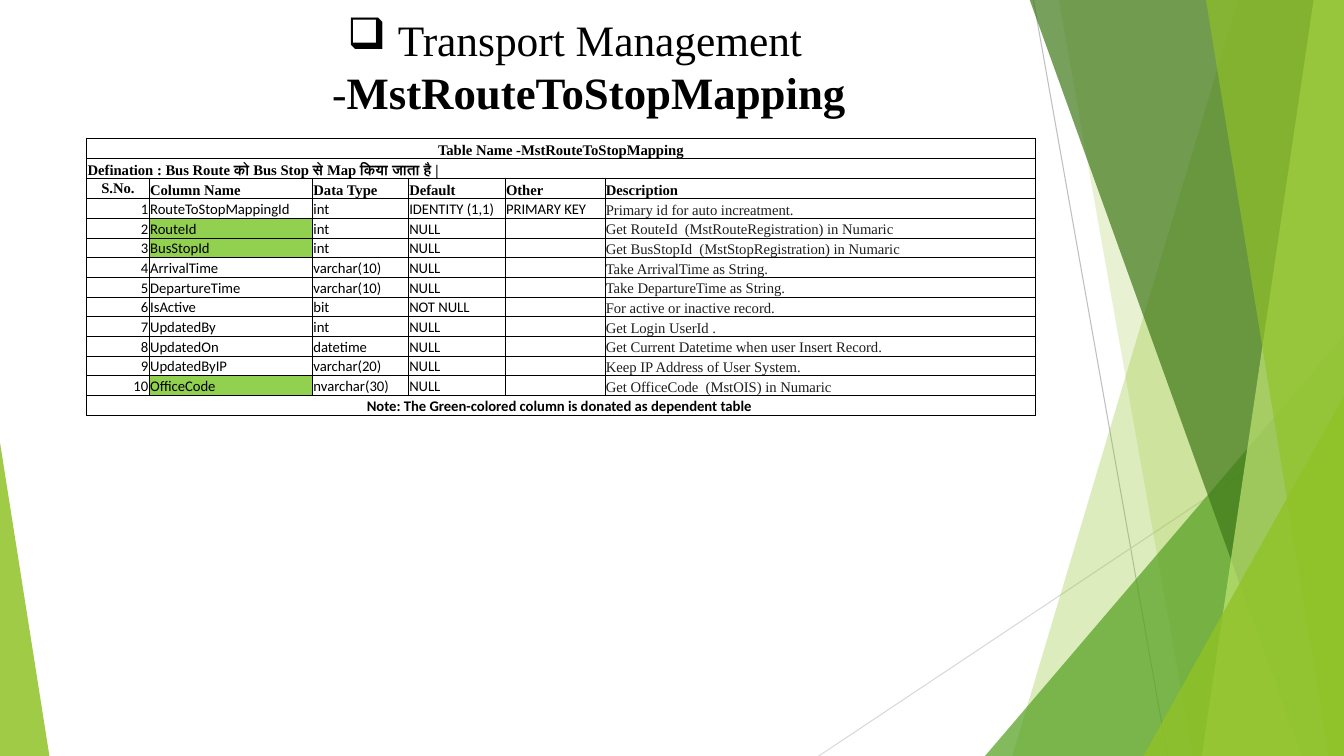
from lxml import etree
from pptx import Presentation
from pptx.dml.color import RGBColor
from pptx.enum.shapes import MSO_CONNECTOR, MSO_SHAPE
from pptx.enum.text import MSO_ANCHOR, MSO_AUTO_SIZE, PP_ALIGN
from pptx.oxml.ns import qn
from pptx.util import Inches, Pt

STRAIGHT = MSO_CONNECTOR.STRAIGHT
TRIANGLE = MSO_SHAPE.ISOSCELES_TRIANGLE
BOTTOM, MIDDLE = MSO_ANCHOR.BOTTOM, MSO_ANCHOR.MIDDLE
LEFT, CENTER, RIGHT = PP_ALIGN.LEFT, PP_ALIGN.CENTER, PP_ALIGN.RIGHT
FIT_SHAPE = MSO_AUTO_SIZE.SHAPE_TO_FIT_TEXT

COLORS = {
    "black": "000000", "ink": "1F1F1F", "marked": "92D050",
    "gray": "BFBFBF", "pale_gray": "D9D9D9",
    "lime": "90C226", "green": "54A021", "forest": "3F7819", "light": "C0E474",
}
SERIF, SANS = "Times New Roman", "Calibri"
WIDTH, HEIGHT, TOP = 13.33, 7.5, -0.01

RAYS = [((10.25, 0), (11.58, HEIGHT), "gray"),
        ((WIDTH, 4.03), (8.12, HEIGHT), "pale_gray")]
BACK_BANDS = [(12.28, 10.04, "lime", 30), (10.5, 11.83, "lime", 20)]
FRONT_BANDS = [(10.21, 12.91, "forest", 70), (13.03, 11.92, "light", 70),
               (11.96, 13.18, "lime", 65)]

HEADERS = ["S.No.", "Column Name", "Data Type", "Default", "Other", "Description"]
FIELDS = [
    ("RouteToStopMappingId", "int", "IDENTITY (1,1)", "PRIMARY KEY",
     "Primary id for auto increatment."),
    ("RouteId", "int", "NULL", "", "Get RouteId  (MstRouteRegistration) in Numaric"),
    ("BusStopId", "int", "NULL", "", "Get BusStopId  (MstStopRegistration) in Numaric"),
    ("ArrivalTime", "varchar(10)", "NULL", "", "Take ArrivalTime as String."),
    ("DepartureTime", "varchar(10)", "NULL", "", "Take DepartureTime as String."),
    ("IsActive", "bit", "NOT NULL", "", "For active or inactive record."),
    ("UpdatedBy", "int", "NULL", "", "Get Login UserId ."),
    ("UpdatedOn", "datetime", "NULL", "",
     "Get Current Datetime when user Insert Record."),
    ("UpdatedByIP", "varchar(20)", "NULL", "", "Keep IP Address of User System."),
    ("OfficeCode", "nvarchar(30)", "NULL", "", "Get OfficeCode  (MstOIS) in Numaric"),
]
DEPENDENT = {"RouteId", "BusStopId", "OfficeCode"}
COLUMN_WIDTHS = [0.62, 1.62, 0.95, 0.96, 0.99, 4.27]
ROW_HEIGHTS = [0.2] * 3 + [2.15 / 11] * 11


class SlideBuilder:
    def __init__(self, slide):
        self.slide = slide
        self.shapes = slide.shapes

    def color(self, name):
        return RGBColor.from_string(COLORS[name])

    def style_run(self, run, size, font, color="black", bold=False):
        run.font.size = Pt(size)
        run.font.name = font
        run.font.bold = bold
        run.font.color.rgb = self.color(color)

    def line(self, start, end, color):
        ray = self.shapes.add_connector(STRAIGHT, *map(Inches, start + end))
        ray.line.color.rgb = self.color(color)
        ray.line.width = Pt(0.75)
        etree.SubElement(ray.element.spPr, qn("a:effectLst"))

    def paint(self, shape, color, opacity):
        shape.shadow.inherit = False
        shape.line.fill.background()
        shape.fill.solid()
        shape.fill.fore_color.rgb = self.color(color)
        tint = shape.element.spPr.find(qn("a:solidFill"))[0]
        etree.SubElement(tint, qn("a:alpha"), val=str(opacity * 1000))

    def band(self, top_x, bottom_x, color, opacity):
        outline = self.shapes.build_freeform(Inches(top_x), Inches(TOP))
        corners = [(WIDTH, TOP), (WIDTH, HEIGHT), (bottom_x, HEIGHT)]
        outline.add_line_segments([(Inches(x), Inches(y)) for x, y in corners])
        self.paint(outline.convert_to_shape(), color, opacity)

    def triangle(self, left, top, width, apex, color, opacity):
        wedge = self.shapes.add_shape(
            TRIANGLE, *map(Inches, (left, top, width, HEIGHT - top)))
        wedge.adjustments[0] = apex
        self.paint(wedge, color, opacity)

    def title(self, box, bullet, parts):
        frame = self.shapes.add_textbox(*map(Inches, box)).text_frame
        frame.word_wrap = True
        frame.auto_size = FIT_SHAPE
        heading = frame.paragraphs[0]
        heading.alignment = CENTER
        for text, size, bold in parts:
            run = heading.add_run()
            run.text = text
            self.style_run(run, size, SERIF, bold=bold)
        props = heading._p.get_or_add_pPr()
        props.set("marL", str(Inches(0.5)))
        props.set("indent", str(Inches(-0.5)))
        etree.SubElement(props, qn("a:buChar"), char=bullet)

    def table(self, left, top, widths, heights):
        frame = self.shapes.add_table(
            len(heights), len(widths),
            *map(Inches, (left, top, sum(widths), sum(heights))))
        grid = frame.table
        grid.first_row = grid.horz_banding = False
        for column, width in zip(grid.columns, widths):
            column.width = Inches(width)
        for row, height in zip(grid.rows, heights):
            row.height = Inches(height)
            for cell in row.cells:
                self.border(cell)
                cell.fill.background()
        return grid

    def border(self, cell):
        props = cell._tc.get_or_add_tcPr()
        for side in ("lnL", "lnR", "lnT", "lnB"):
            edge = etree.SubElement(props, qn(f"a:{side}"), w=str(Pt(0.5)))
            fill = etree.SubElement(edge, qn("a:solidFill"))
            etree.SubElement(fill, qn("a:srgbClr"), val=COLORS["black"])

    def cell(self, cell, text, font, align=LEFT, color="black", bold=False,
             anchor=BOTTOM):
        cell.margin_left = cell.margin_right = cell.margin_top = Inches(0.01)
        cell.margin_bottom = 0
        cell.vertical_anchor = anchor
        paragraph = cell.text_frame.paragraphs[0]
        paragraph.alignment = align
        if text:
            paragraph.text = text
            self.style_run(paragraph.runs[0], 10.5, font, color, bold)
        else:
            etree.SubElement(paragraph._p, qn("a:endParaRPr"), sz="1050")

    def banner(self, grid, row, text, font, align):
        first = grid.cell(row, 0)
        first.merge(grid.cell(row, len(grid.columns) - 1))
        self.cell(first, text, font, align, bold=True)


def main():
    deck = Presentation()
    deck.slide_width, deck.slide_height = Inches(WIDTH), Inches(HEIGHT)
    page = SlideBuilder(deck.slides.add_slide(deck.slide_layouts[6]))

    for ray in RAYS:
        page.line(*ray)
    for band in BACK_BANDS:
        page.band(*band)
    page.triangle(9.77, 3.33, 3.56, 1, "green", 72)
    for band in FRONT_BANDS:
        page.band(*band)
    page.triangle(11.34, 3.93, 1.99, 1, "lime", 80)
    page.triangle(0, 4.39, 0.49, 0, "lime", 85)

    page.title((1.56, 0.08, 8.28, 1.16), "❑", [
        ("Transport Management -", 31, False),
        ("MstRouteToStopMapping", 32, True),
        ("  ", 31, False)])

    grid = page.table(0.86, 1.37, COLUMN_WIDTHS, ROW_HEIGHTS)
    page.banner(grid, 0, "Table Name -MstRouteToStopMapping", SERIF, CENTER)
    page.banner(grid, 1, "Defination : Bus Route को Bus Stop से Map किया जाता है |",
                SERIF, LEFT)
    for column, header in enumerate(HEADERS):
        align, anchor = (LEFT, BOTTOM) if column else (CENTER, MIDDLE)
        page.cell(grid.cell(2, column), header, SERIF, align, bold=True, anchor=anchor)
    for number, (*details, description) in enumerate(FIELDS, 1):
        row = number + 2
        page.cell(grid.cell(row, 0), str(number), SANS, RIGHT)
        for column, detail in enumerate(details, 1):
            page.cell(grid.cell(row, column), detail, SANS)
        page.cell(grid.cell(row, 5), description, SERIF, color="ink")
        if details[0] in DEPENDENT:
            field_fill = grid.cell(row, 1).fill
            field_fill.solid()
            field_fill.fore_color.rgb = page.color("marked")
    page.banner(grid, len(ROW_HEIGHTS) - 1,
                "Note: The Green-colored column is donated as dependent table ",
                SANS, CENTER)
    deck.save("out.pptx")


if __name__ == "__main__":
    main()
